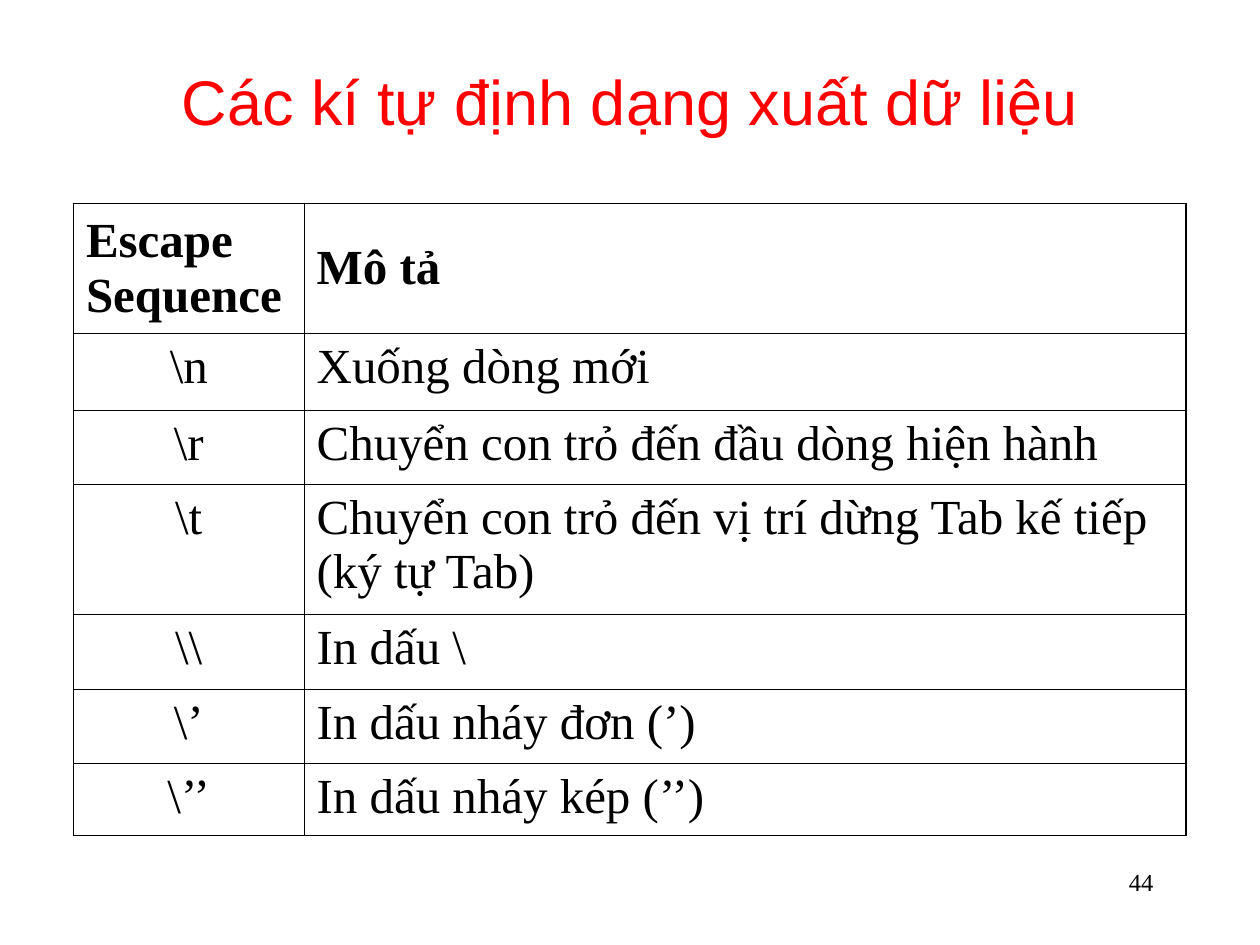
from lxml import etree
from pptx import Presentation
from pptx import util as u
from pptx.dml.color import RGBColor
from pptx.enum import text
from pptx.oxml.ns import qn

THIN, THICK = 0.45, 1.08
HEADINGS = ("Escape Sequence", "Mô tả")
ESCAPES = (
    ("\\n", "Xuống dòng mới"),
    ("\\r", "Chuyển con trỏ đến đầu dòng hiện hành"),
    ("\\t", "Chuyển con trỏ đến vị trí dừng Tab kế tiếp (ký tự Tab)"),
    ("\\\\", "In dấu \\"),
    ("\\’", "In dấu nháy đơn (’)"),
    ("\\’’", "In dấu nháy kép (’’)"),
)
COLUMN_WIDTHS = (4.65, 17.78)
ROW_HEIGHTS = (2.62, 1.55, 1.5, 2.62, 1.5, 1.5, 1.45)


def color(hex_code):
    """Turn a hex string into a colour."""
    return RGBColor.from_string(hex_code)


def write(frame, words, size, font, hex_code, align, bold=False):
    """Write one formatted run in the first paragraph of a frame."""
    paragraph = frame.paragraphs[0]
    paragraph.alignment = align
    run = paragraph.add_run()
    run.text = words
    run.font.size = u.Pt(size)
    run.font.name = font
    run.font.bold = bold
    run.font.color.rgb = color(hex_code)


def draw_border(cell, side, width):
    """Draw a black line along one side of a cell."""
    properties = cell._tc.get_or_add_tcPr()
    line = etree.SubElement(properties, qn(f"a:ln{side}"), w=str(u.Pt(width)))
    fill = etree.SubElement(line, qn("a:solidFill"))
    etree.SubElement(fill, qn("a:srgbClr"), val="000000")


def place_title(slide, left, top, width, height):
    """Place the red slide title."""
    title = slide.shapes.title
    title.left, title.top = u.Cm(left), u.Cm(top)
    title.width, title.height = u.Cm(width), u.Cm(height)
    title.text_frame.vertical_anchor = text.MSO_ANCHOR.MIDDLE
    write(title.text_frame, "Các kí tự định dạng xuất dữ liệu", 36, "Arial",
          "FF0000", text.PP_ALIGN.CENTER)


def fill_cell(cell, words, row, column):
    """Write a cell and rule it, with thicker lines on the table's outer edge."""
    heading = row == 0
    centred = column == 0 and not heading
    cell.vertical_anchor = text.MSO_ANCHOR.MIDDLE if heading else text.MSO_ANCHOR.TOP
    write(cell.text_frame, words, 28, "Times New Roman", "000000",
          text.PP_ALIGN.CENTER if centred else text.PP_ALIGN.LEFT, heading)
    outer = {"L": column == 0, "R": column == len(HEADINGS) - 1,
             "T": heading, "B": row == len(ESCAPES)}
    for side, on_edge in outer.items():
        draw_border(cell, side, THICK if on_edge else THIN)
    cell.fill.background()


def place_escape_table(slide, left, top):
    """Place the table of escape sequences and their meanings."""
    rows = (HEADINGS, *ESCAPES)
    table = slide.shapes.add_table(
        len(rows), len(HEADINGS), u.Cm(left), u.Cm(top),
        u.Cm(sum(COLUMN_WIDTHS)), u.Cm(sum(ROW_HEIGHTS))).table
    table.first_row = table.horz_banding = False
    for column, width in zip(table.columns, COLUMN_WIDTHS):
        column.width = u.Cm(width)
    for row, height in zip(table.rows, ROW_HEIGHTS):
        row.height = u.Cm(height)
    for row, entries in enumerate(rows):
        for column, words in enumerate(entries):
            fill_cell(table.cell(row, column), words, row, column)


def place_page_number(slide, left, top, width, height):
    """Place the page number at the lower right."""
    number = slide.shapes.add_textbox(u.Cm(left), u.Cm(top), u.Cm(width), u.Cm(height))
    number.text_frame.word_wrap = True
    write(number.text_frame, "44", 14, "Times New Roman", "000000", text.PP_ALIGN.RIGHT)


def main():
    """Build and save the slide."""
    deck = Presentation()
    deck.slide_width, deck.slide_height = u.Cm(25.4), u.Cm(19.05)
    slide = deck.slides.add_slide(deck.slide_layouts[5])
    place_title(slide, 1.9, 0.43, 21.6, 3.18)
    place_escape_table(slide, 1.48, 4.1)
    place_page_number(slide, 18.2, 17.35, 5.3, 1.27)
    deck.save("out.pptx")


if __name__ == "__main__":
    main()
